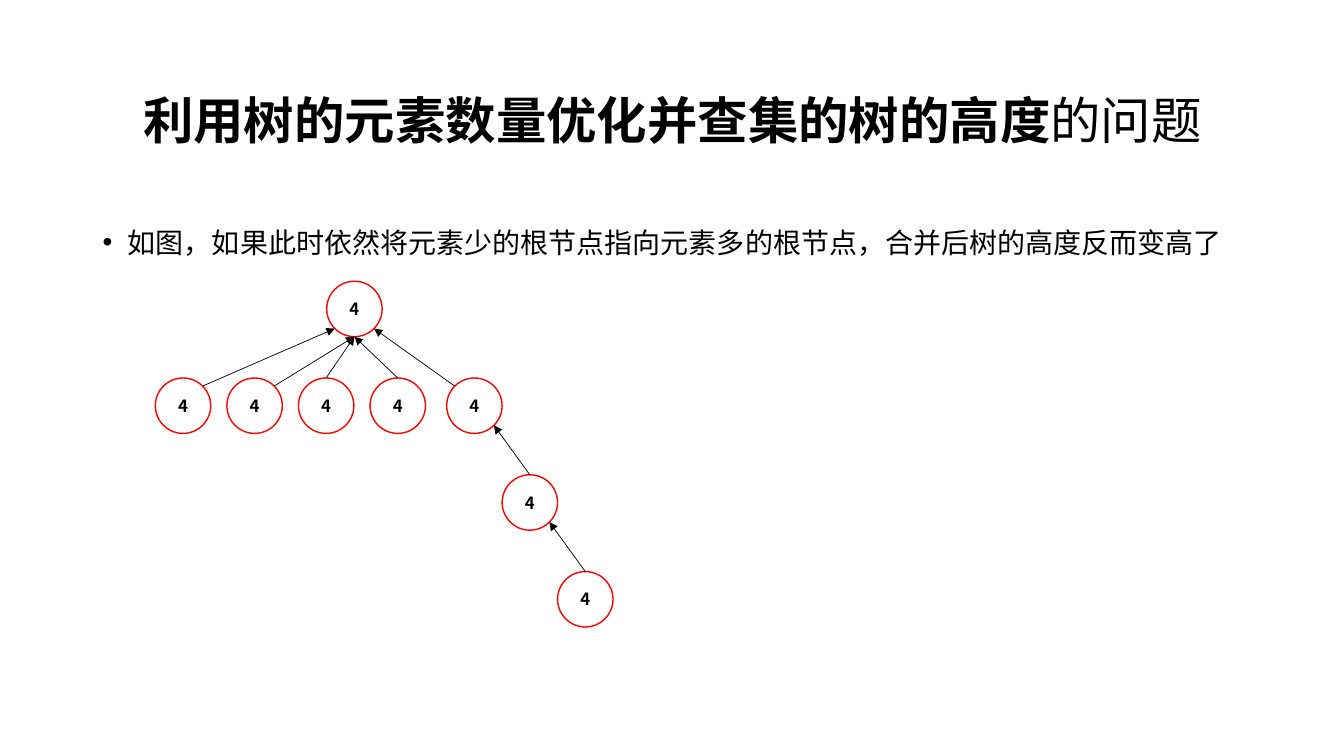
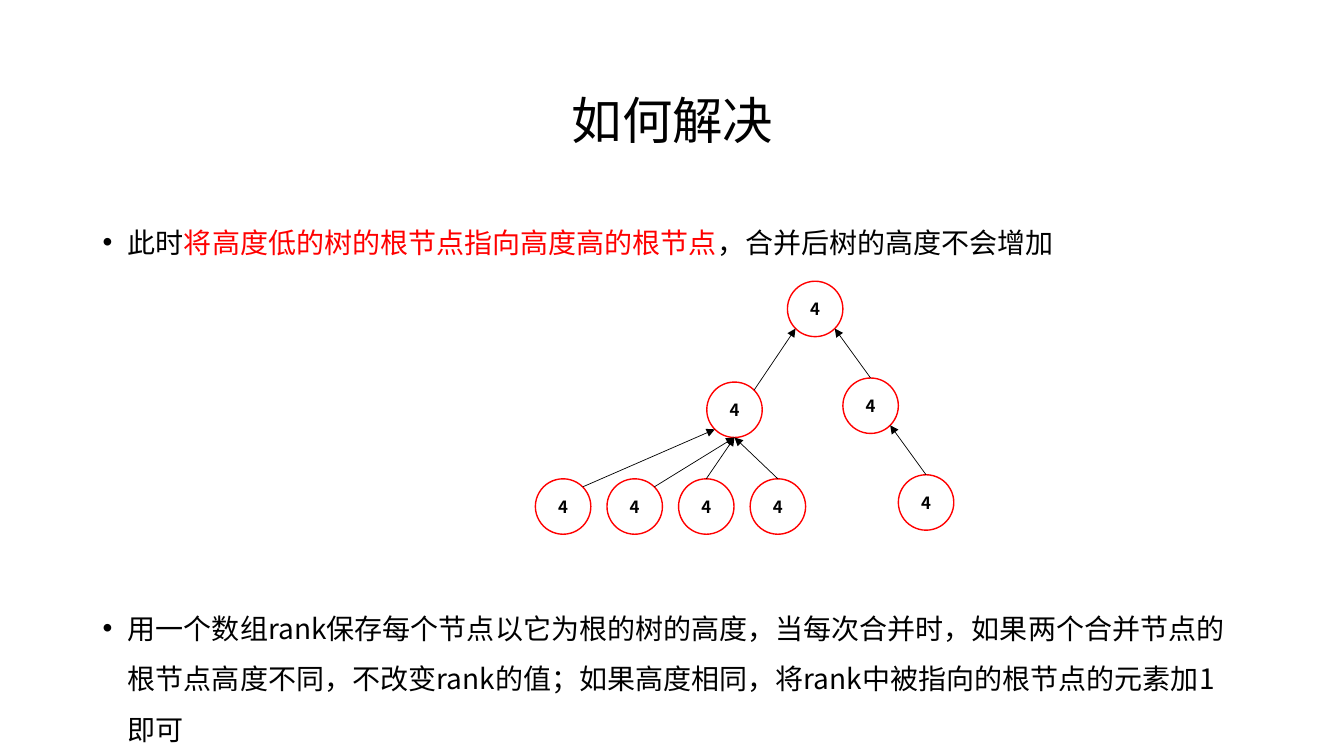
from dataclasses import dataclass
from enum import Enum
from math import sqrt

from lxml.etree import SubElement
from pptx import Presentation
from pptx.dml.color import RGBColor
from pptx.enum.shapes import MSO_CONNECTOR, MSO_SHAPE
from pptx.enum.text import MSO_ANCHOR, PP_ALIGN
from pptx.oxml.ns import qn
from pptx.slide import Slide
from pptx.text.text import TextFrame, _Paragraph
from pptx.util import Inches, Pt

FONT = "Noto Sans CJK SC"
BLACK = RGBColor(0x00, 0x00, 0x00)
RED = RGBColor(0xFF, 0x00, 0x00)

MARGIN, CONTENT_WIDTH = 0.92, 11.5
NODE_SIZE = 0.55
LEVEL_GAP = 0.96
CHAIN_STEP = 0.55
LEAF_OFFSET, LEAF_STEP = -1.70, 0.71
DIAGONAL = 1 / sqrt(2)


class Site(Enum):
    """Direction from the centre of a node to a point on its rim."""
    TOP = (0, -1)
    BOTTOM = (0, 1)
    TOP_LEFT = (-DIAGONAL, -DIAGONAL)
    TOP_RIGHT = (DIAGONAL, -DIAGONAL)
    BOTTOM_LEFT = (-DIAGONAL, DIAGONAL)
    BOTTOM_RIGHT = (DIAGONAL, DIAGONAL)


@dataclass(frozen=True)
class TextPart:
    text: str
    bold: bool = False
    color: RGBColor = BLACK


@dataclass(frozen=True)
class Node:
    left: float
    top: float

    def rim(self, site: Site) -> tuple[float, float]:
        radius = NODE_SIZE / 2
        across, down = site.value
        return self.left + radius * (1 + across), self.top + radius * (1 + down)


# Text
def add_text_frame(slide: Slide, top: float, height: float) -> TextFrame:
    box = slide.shapes.add_textbox(
        Inches(MARGIN), Inches(top), Inches(CONTENT_WIDTH), Inches(height))
    box.text_frame.word_wrap = True
    return box.text_frame


def add_parts(paragraph: _Paragraph, parts: list[TextPart], size: float) -> None:
    for part in parts:
        run = paragraph.add_run()
        run.text = part.text
        run.font.size = Pt(size)
        run.font.bold = part.bold
        run.font.name = FONT
        run.font.color.rgb = part.color
        SubElement(run.font._element, qn("a:ea")).set("typeface", FONT)


def add_title(slide: Slide, parts: list[TextPart]) -> None:
    frame = add_text_frame(slide, 0.4, 1.45)
    frame.vertical_anchor = MSO_ANCHOR.MIDDLE
    paragraph = frame.paragraphs[0]
    paragraph.alignment = PP_ALIGN.CENTER
    paragraph.line_spacing = 1.2
    add_parts(paragraph, parts, 36)


def add_bullet(slide: Slide, top: float, height: float, parts: list[TextPart]) -> None:
    paragraph = add_text_frame(slide, top, height).paragraphs[0]
    paragraph.line_spacing = Pt(36)
    properties = paragraph._p.get_or_add_pPr()
    properties.set("marL", str(Inches(0.25)))
    properties.set("indent", str(-Inches(0.25)))
    SubElement(properties, qn("a:buFont")).set("typeface", "Arial")
    SubElement(properties, qn("a:buChar")).set("char", "•")
    add_parts(paragraph, parts, 20)


# Trees
def add_node(slide: Slide, left: float, top: float) -> Node:
    shape = slide.shapes.add_shape(
        MSO_SHAPE.OVAL, Inches(left), Inches(top), Inches(NODE_SIZE), Inches(NODE_SIZE))
    shape.shadow.inherit = False
    shape.fill.background()
    shape.line.color.rgb = RED
    shape.line.width = Pt(1)
    frame = shape.text_frame
    frame.word_wrap = False
    frame.vertical_anchor = MSO_ANCHOR.MIDDLE
    frame.paragraphs[0].alignment = PP_ALIGN.CENTER
    add_parts(frame.paragraphs[0], [TextPart("4", bold=True)], 12)
    return Node(left, top)


def add_arrow(slide: Slide, child: Node, start: Site, parent: Node, end: Site) -> None:
    points = [Inches(value) for value in (*child.rim(start), *parent.rim(end))]
    connector = slide.shapes.add_connector(MSO_CONNECTOR.STRAIGHT, *points)
    connector.line.color.rgb = BLACK
    connector.line.width = Pt(0.5)
    SubElement(connector.line._get_or_add_ln(), qn("a:tailEnd")).set("type", "triangle")
    SubElement(connector._element.spPr, qn("a:effectLst"))


def add_fan(slide: Slide, left: float, top: float) -> Node:
    """Draw a root with four leaves and return the root."""
    root = add_node(slide, left, top)
    sites = [
        (Site.TOP_RIGHT, Site.BOTTOM_LEFT),
        (Site.TOP_RIGHT, Site.BOTTOM),
        (Site.TOP, Site.BOTTOM),
        (Site.TOP, Site.BOTTOM),
    ]
    for index, (start, end) in enumerate(sites):
        leaf = add_node(slide, left + LEAF_OFFSET + index * LEAF_STEP, top + LEVEL_GAP)
        add_arrow(slide, leaf, start, root, end)
    return root


def add_chain(slide: Slide, left: float, top: float) -> Node:
    """Draw three nodes, each pointing to the one above, and return the root."""
    root = parent = add_node(slide, left, top)
    for level in (1, 2):
        child = add_node(slide, left + level * CHAIN_STEP, top + level * LEVEL_GAP)
        add_arrow(slide, child, Site.TOP, parent, Site.BOTTOM_RIGHT)
        parent = child
    return root


# Slides
def build_problem_slide(slide: Slide) -> None:
    add_title(slide, [
        TextPart("利用树的元素数量优化并查集的树的高度", bold=True), TextPart("的问题")])
    add_bullet(slide, 2.02, 0.7, [
        TextPart("如图，如果此时依然将元素少的根节点指向元素多的根节点，合并后树的高度反而变高了")])
    fan_root = add_fan(slide, 3.24, 2.79)
    chain_root = add_chain(slide, 4.43, 3.75)
    add_arrow(slide, chain_root, Site.TOP_LEFT, fan_root, Site.BOTTOM_RIGHT)


def build_solution_slide(slide: Slide) -> None:
    add_title(slide, [TextPart("如何解决")])
    add_bullet(slide, 2.02, 0.7, [
        TextPart("此时"),
        TextPart("将高度低的树的根节点指向高度高的根节点", color=RED),
        TextPart("，合并后树的高度不会增加")])
    add_bullet(slide, 5.85, 1.6, [
        TextPart("用一个数组rank保存每个节点以它为根的树的高度，当每次合并时，"
                 "如果两个合并节点的根节点高度不同，不改变rank的值；"
                 "如果高度相同，将rank中被指向的根节点的元素加1即可")])
    fan_root = add_fan(slide, 7.01, 3.79)
    chain_root = add_chain(slide, 7.81, 2.79)
    add_arrow(slide, fan_root, Site.TOP_RIGHT, chain_root, Site.BOTTOM_LEFT)


def main() -> None:
    presentation = Presentation()
    presentation.slide_width = Inches(13.33)
    presentation.slide_height = Inches(7.5)
    blank_layout = presentation.slide_layouts[6]
    for build in (build_problem_slide, build_solution_slide):
        build(presentation.slides.add_slide(blank_layout))
    presentation.save("out.pptx")


if __name__ == "__main__":
    main()
